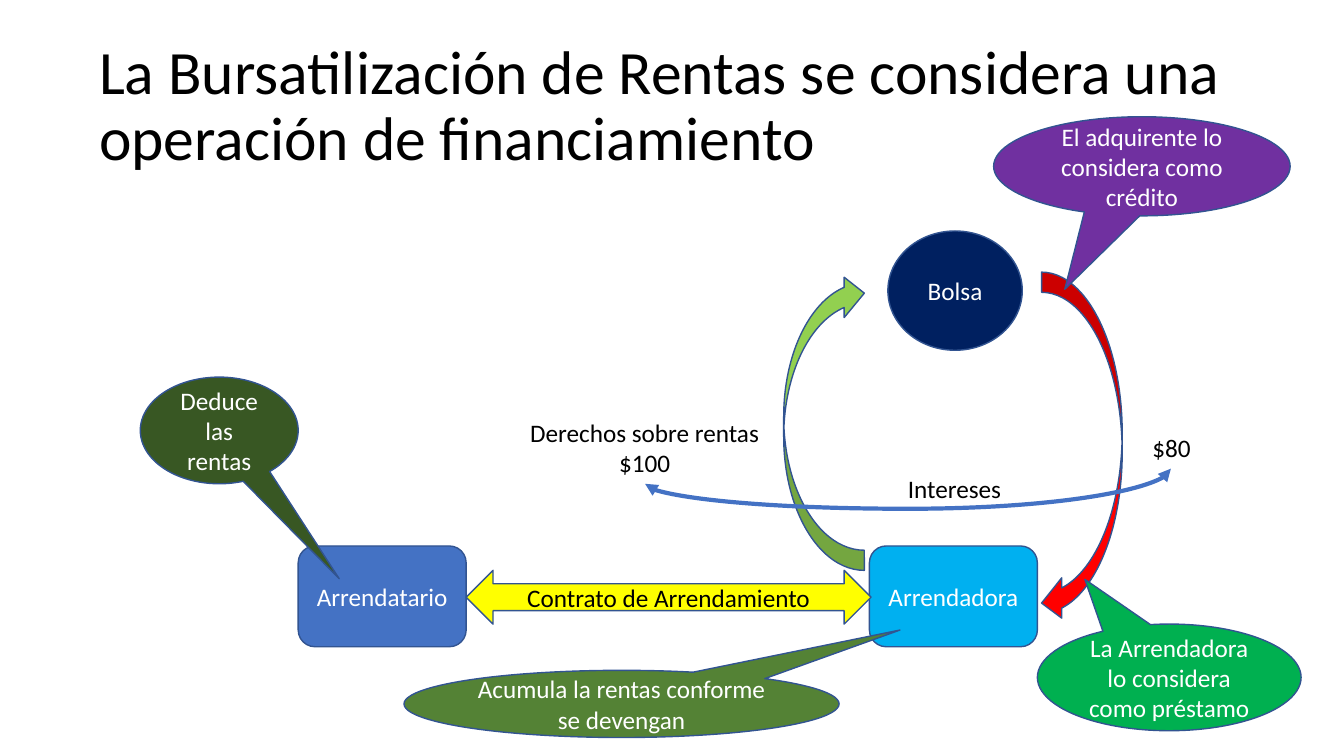
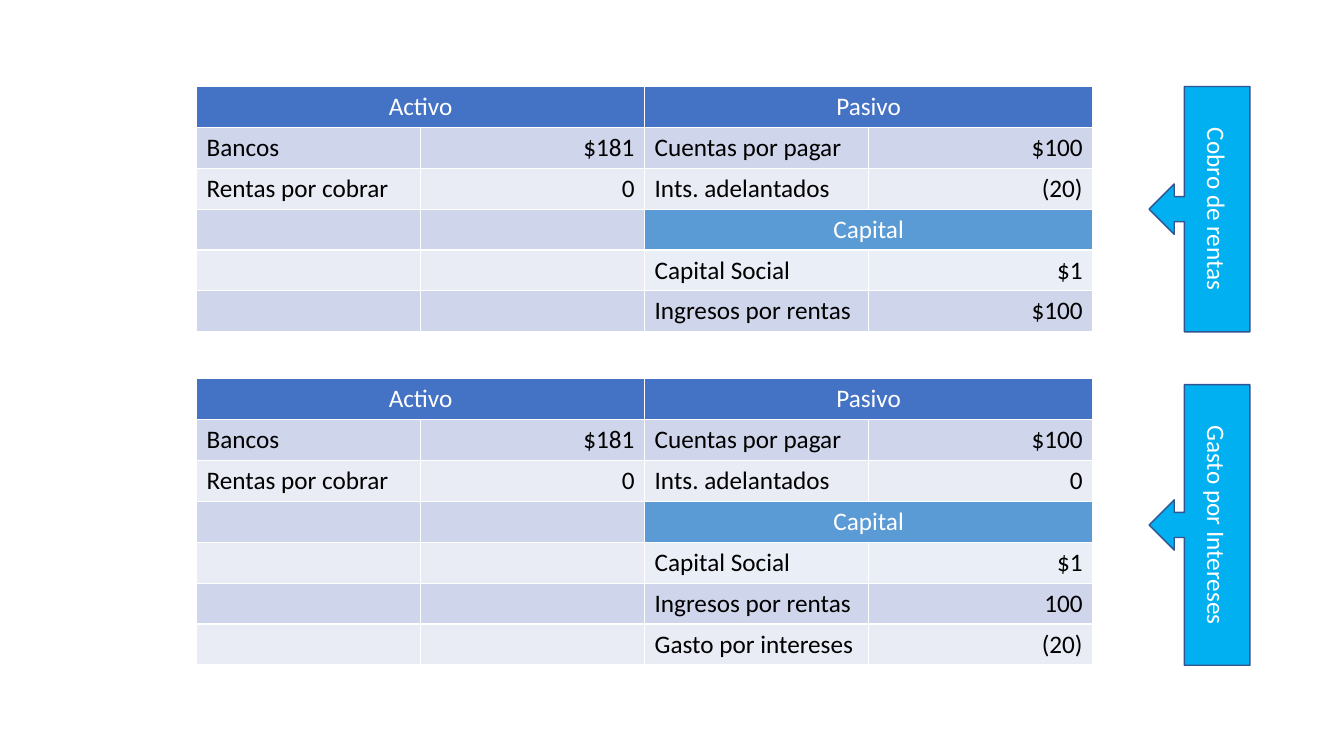
from dataclasses import dataclass
from typing import Optional

from lxml.etree import SubElement
from pptx import Presentation
from pptx.dml.color import RGBColor
from pptx.enum.shapes import MSO_CONNECTOR, MSO_SHAPE as Preset
from pptx.enum.text import MSO_ANCHOR as Anchor, MSO_AUTO_SIZE as AutoSize, PP_ALIGN as Align
from pptx.oxml.ns import qn
from pptx.util import Inches, Pt

# The slide is a grid of 160 by 90 square cells
SLIDE_WIDTH, SLIDE_HEIGHT = Inches(13.333333), Inches(7.5)
CELL = SLIDE_HEIGHT / 90

FONT = "Calibri"
COLORS = {
    "white": "FFFFFF", "black": "000000", "outline": "325491", "blue": "4472C4",
    "cyan": "00B0F0", "navy": "002060", "yellow": "FFFF00", "lime": "92D050",
    "red": "FF0000", "green": "00B050", "olive": "548235", "purple": "7030A0",
    "forest": "385723", "subheading": "5B9BD5", "band_dark": "CFD5EA",
    "band_light": "E9EBF5", "band_capital": "EAEFF7",
}


@dataclass
class Figure:
    """A filled preset shape; box is left, top, width and height in cells."""
    preset: Preset
    box: tuple[float, float, float, float]
    fill: str
    text: str = ""
    color: str = "white"
    rotation: float = 0
    adjustments: tuple[float, ...] = ()
    vertical: bool = False


@dataclass
class Label:
    """Free text; box is left, top, width and height in cells."""
    text: str
    box: tuple[float, float, float, float]
    align: Optional[Align] = None
    wrap: bool = False


@dataclass
class Balance:
    """A balance sheet with the callout beside it."""
    top: float
    rows: list[tuple[str, str, str, str]]
    callout: Figure


def cells(*lengths: float) -> list[int]:
    return [round(length * CELL) for length in lengths]


def rgb(name: str) -> RGBColor:
    return RGBColor.from_string(COLORS[name])


def write(frame, text: str, *, size: float = 18, color: str = "black",
          align: Optional[Align] = None, anchor: Optional[Anchor] = None,
          line_spacing: Optional[float] = None) -> None:
    frame.text = text
    if anchor is not None:
        frame.vertical_anchor = anchor
    for paragraph in frame.paragraphs:
        paragraph.alignment = align
        paragraph.line_spacing = line_spacing
        font = paragraph.font
        font.name, font.size, font.bold = FONT, Pt(size), False
        font.color.rgb = rgb(color)


def draw_figure(slide, figure: Figure) -> None:
    shape = slide.shapes.add_shape(figure.preset, *cells(*figure.box))
    shape.shadow.inherit = False
    shape.rotation = figure.rotation
    shape.fill.solid()
    shape.fill.fore_color.rgb = rgb(figure.fill)
    shape.line.color.rgb = rgb("outline")
    shape.line.width = Pt(1)
    for index, value in enumerate(figure.adjustments):
        shape.adjustments[index] = value
    if figure.text:
        write(shape.text_frame, figure.text, color=figure.color,
              align=Align.CENTER, anchor=Anchor.MIDDLE)
    if figure.vertical:
        shape.element.txBody.bodyPr.set("vert", "vert")


def draw_label(slide, label: Label) -> None:
    frame = slide.shapes.add_textbox(*cells(*label.box)).text_frame
    write(frame, label.text, align=label.align)
    frame.word_wrap = label.wrap
    frame.auto_size = AutoSize.SHAPE_TO_FIT_TEXT


def draw_sagging_arrow(slide, start: tuple[float, float], end: tuple[float, float],
                       bend: int) -> None:
    """Curve with two heads: a flipped connector turned a quarter about its centre."""
    center_x, center_y = (start[0] + end[0]) / 2, (start[1] + end[1]) / 2
    half_x, half_y = (start[1] - end[1]) / 2, (end[0] - start[0]) / 2
    connector = slide.shapes.add_connector(
        MSO_CONNECTOR.CURVE,
        *cells(center_x + half_x, center_y + half_y, center_x - half_x, center_y - half_y))
    connector.line.color.rgb = rgb("blue")
    connector.line.width = Pt(3)
    properties = connector.element.spPr
    properties.find(qn("a:xfrm")).set("rot", "5400000")
    guides = properties.find(qn("a:prstGeom")).get_or_add_avLst()
    SubElement(guides, qn("a:gd"), name="adj1", fmla=f"val {bend}")
    line = properties.find(qn("a:ln"))
    for end_name in ("a:headEnd", "a:tailEnd"):
        SubElement(line, qn(end_name), type="triangle")
    SubElement(properties, qn("a:effectLst"))


def draw_balance(slide, balance: Balance) -> None:
    headings = {"Activo": "blue", "Pasivo": "blue", "Capital": "subheading"}
    row_height, column_width = 4.87, 26.67
    rows = balance.rows
    table = slide.shapes.add_table(
        len(rows), 4,
        *cells(23.4, balance.top, 4 * column_width, len(rows) * row_height)).table
    for r, row in enumerate(rows):
        for c, text in enumerate(row):
            cell = table.cell(r, c)
            fill = headings.get(text, "band_dark" if r % 2 else "band_light")
            if c >= 2 and r and rows[r - 1][2] == "Capital":
                fill = "band_capital"
            cell.fill.solid()
            cell.fill.fore_color.rgb = rgb(fill)
            if text in headings:
                cell.merge(table.cell(r, c + 1))
                write(cell.text_frame, text, color="white", align=Align.CENTER)
            elif text:
                write(cell.text_frame, text, align=Align.RIGHT if c % 2 else Align.LEFT)
    draw_figure(slide, balance.callout)


# Financing diagram
FLOW = [
    Figure(Preset.ROUNDED_RECTANGLE, (35.5, 65, 20, 12), "blue", "Arrendatario"),
    Figure(Preset.ROUNDED_RECTANGLE, (103.5, 65, 20, 12), "cyan", "Arrendadora"),
    Figure(Preset.OVAL, (105.7, 27.5, 16, 14.2), "navy", "Bolsa"),
    Figure(Preset.LEFT_RIGHT_ARROW, (55.5, 67.9, 48.2, 6.4), "yellow",
           "Contrato de Arrendamiento", color="black"),
    Figure(Preset.CURVED_DOWN_ARROW, (80.4, 45.4, 35.4, 9.6), "lime", rotation=270),
    Figure(Preset.CURVED_LEFT_ARROW, (124, 32.4, 9.6, 41.8), "red"),
]
COMMENTS = [
    Figure(Preset.OVAL_CALLOUT, (123.5, 74.3, 31.4, 12.7), "green",
           "La Arrendadora lo considera como préstamo", adjustments=(-0.32, -0.92)),
    Figure(Preset.OVAL_CALLOUT, (48.1, 79.8, 51.8, 8), "olive",
           "Acumula la rentas conforme se devengan", adjustments=(0.64, -1.1)),
    Figure(Preset.OVAL_CALLOUT, (118.3, 13.9, 35.3, 11.8), "purple",
           "El adquirente lo considera como crédito", adjustments=(-0.26, 1.24)),
    Figure(Preset.OVAL_CALLOUT, (16.7, 44.9, 18.8, 12.7), "forest",
           "Deduce las rentas", adjustments=(0.76, 1.39)),
]
AMOUNTS = [
    Label("Derechos sobre rentas\n$100", (61.4, 49.1, 30.7, 8.5), Align.CENTER, wrap=True),
    Label("$80", (136, 50.9, 7.1, 4.8)),
]
INTEREST = Label("Intereses", (106.9, 55.8, 13.7, 4.8))


# Balance sheets
def balance_rows(advance_interest: str, income: str) -> list[tuple[str, str, str, str]]:
    return [
        ("Activo", "", "Pasivo", ""),
        ("Bancos", "$181", "Cuentas por pagar", "$100"),
        ("Rentas por cobrar", "0", "Ints. adelantados", advance_interest),
        ("", "", "Capital", ""),
        ("", "", "Capital Social", "$1"),
        ("", "", "Ingresos por rentas", income),
    ]


def side_callout(text: str, top: float, height: float) -> Figure:
    return Figure(Preset.LEFT_ARROW_CALLOUT, (136.8, top, 12, height), "cyan",
                  text, vertical=True)


BALANCES = [
    Balance(10.3, balance_rows("(20)", "$100"), side_callout("Cobro de rentas", 10.3, 29.2)),
    Balance(45.1, balance_rows("0", "100") + [("", "", "Gasto por intereses", "(20)")],
            side_callout("Gasto por Intereses", 45.8, 33.4)),
]


def build_financing_slide(presentation) -> None:
    slide = presentation.slides.add_slide(presentation.slide_layouts[5])
    title = slide.shapes.title
    title.left, title.top, title.width, title.height = cells(10.6, 4.1, 138, 17.4)
    write(title.text_frame,
          "La Bursatilización de Rentas se considera una operación de financiamiento",
          size=44, align=Align.LEFT, anchor=Anchor.MIDDLE, line_spacing=0.9)
    for figure in FLOW:
        draw_figure(slide, figure)
    for label in AMOUNTS:
        draw_label(slide, label)
    for figure in COMMENTS:
        draw_figure(slide, figure)
    draw_sagging_arrow(slide, (76.8, 57.6), (139.4, 55.8), bend=-165100)
    draw_label(slide, INTEREST)


def build_balance_slide(presentation) -> None:
    slide = presentation.slides.add_slide(presentation.slide_layouts[6])
    for balance in BALANCES:
        draw_balance(slide, balance)


def main() -> None:
    presentation = Presentation()
    presentation.slide_width, presentation.slide_height = SLIDE_WIDTH, SLIDE_HEIGHT
    build_financing_slide(presentation)
    build_balance_slide(presentation)
    presentation.save("out.pptx")


if __name__ == "__main__":
    main()
